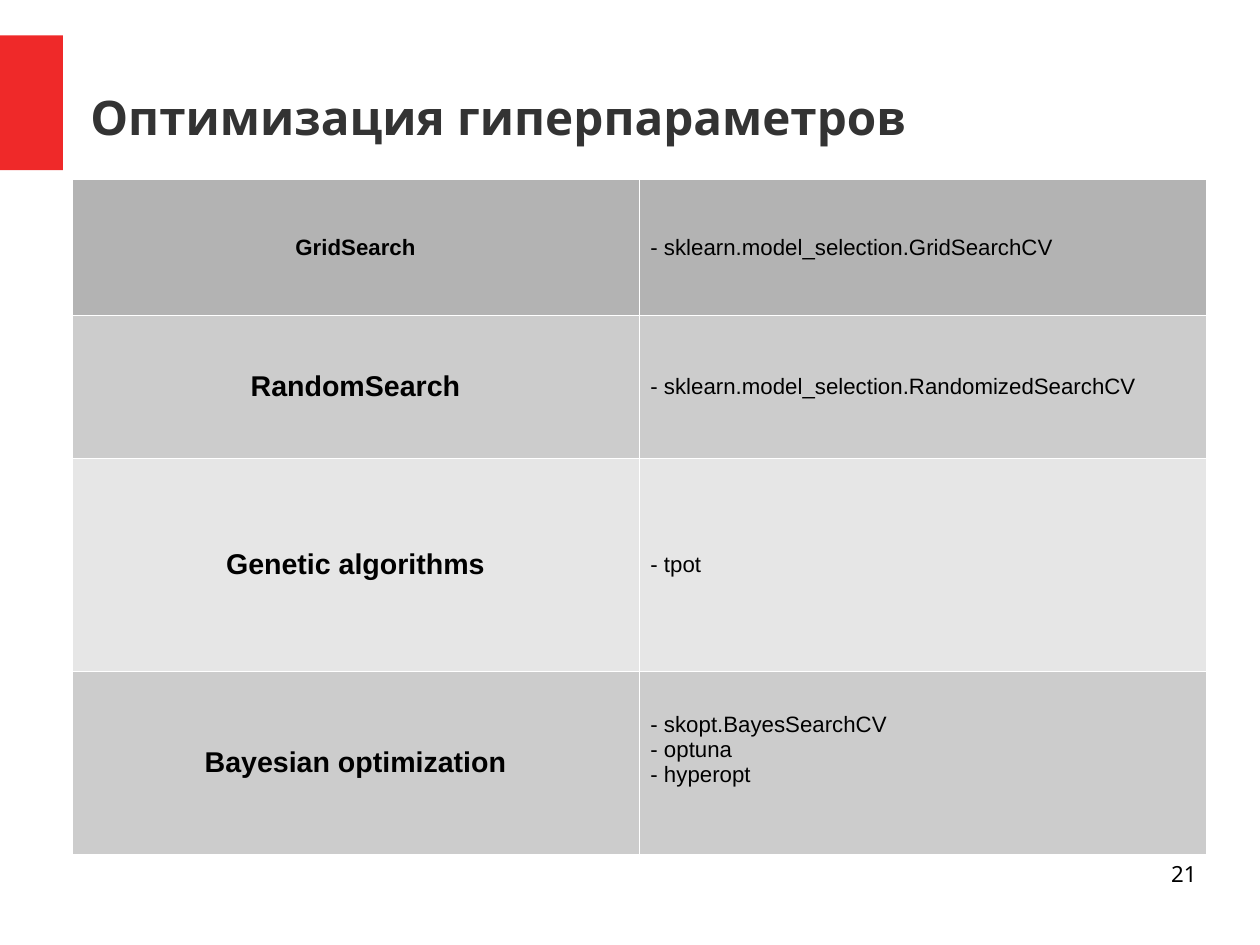
from lxml import etree
from pptx import Presentation
from pptx import util as u
from pptx.dml import color
from pptx.enum import shapes, text
from pptx.oxml import ns

WIDE, HIGH = u.Cm(28), u.Cm(21)
W = WIDE.inches
HUES = {"red": "EF2929", "title": "333333", "ink": "000000", "line": "FFFFFF",
        "dark": "B3B3B3", "mid": "CCCCCC", "light": "E6E6E6"}
ROWS = [
    (1.19, "dark", 14, "GridSearch", ["- sklearn.model_selection.GridSearchCV"]),
    (1.25, "mid", 18, "RandomSearch", ["- sklearn.model_selection.RandomizedSearchCV"]),
    (1.86, "light", 18, "Genetic algorithms", ["- tpot"]),
    (1.6, "mid", 18, "Bayesian optimization",
     ["- skopt.BayesSearchCV", "- optuna", "- hyperopt"]),
]
LIST_FOOT = 0.27


def rgb(hue):
    return color.RGBColor.from_string(HUES[hue])


def apply(item, values):
    for name, value in values.items():
        setattr(item, name, value)


def paint(item, hue):
    item.fill.solid()
    item.fill.fore_color.rgb = rgb(hue)


def write(frame, lines, align, hue, **font):
    for i, line in enumerate(lines):
        para = frame.paragraphs[0] if i == 0 else frame.add_paragraph()
        para.alignment = align
        run = para.add_run()
        run.text = line
        apply(run.font, font)
        run.font.color.rgb = rgb(hue)


def label(slide, box, line, align, anchor, hue, **font):
    frame = slide.shapes.add_textbox(*map(u.Inches, box)).text_frame
    apply(frame, dict(word_wrap=True, vertical_anchor=anchor, margin_left=0,
                      margin_right=0, margin_top=0, margin_bottom=0))
    write(frame, [line], align, hue, **font)


def edge(cell):
    props = cell._tc.get_or_add_tcPr()
    for i, side in enumerate(("lnL", "lnR", "lnT", "lnB")):
        line = etree.Element(ns.qn("a:" + side), w=str(u.Pt(0.06)))
        fill = etree.SubElement(line, ns.qn("a:solidFill"))
        etree.SubElement(fill, ns.qn("a:srgbClr"), val=HUES["line"])
        props.insert(i, line)


def header(slide, box):
    left, top, wide, high = box
    flag = slide.shapes.add_shape(
        shapes.MSO_SHAPE.RECTANGLE,
        *map(u.Inches, (left, top + 0.31, wide * 0.05, 1.18)))
    flag.shadow.inherit = False
    paint(flag, "red")
    flag.line.fill.background()
    label(slide, (left + 0.79, top + 0.33, 9.68, high - 0.33),
          "Оптимизация гиперпараметров", text.PP_ALIGN.LEFT,
          text.MSO_ANCHOR.MIDDLE, "title",
          name="Noto Sans", size=u.Pt(30), bold=True)


def methods(slide, box):
    frame = slide.shapes.add_table(len(ROWS), 2, *map(u.Inches, box))
    table = frame.table
    apply(table, dict(first_row=False, horz_banding=False))
    for col in table.columns:
        col.width = u.Inches(box[2] / 2)
    for row, (high, hue, size, name, tools) in zip(table.rows, ROWS):
        row.height = u.Inches(high)
        parts = (([name], text.PP_ALIGN.CENTER, size, True),
                 (tools, text.PP_ALIGN.LEFT, 14, False))
        for cell, (lines, align, points, bold) in zip(row.cells, parts):
            foot = LIST_FOOT if len(lines) > 1 else 0.05
            apply(cell, dict(vertical_anchor=text.MSO_ANCHOR.MIDDLE,
                             margin_left=u.Inches(0.1), margin_right=u.Inches(0.1),
                             margin_top=u.Inches(0.05), margin_bottom=u.Inches(foot)))
            paint(cell, hue)
            edge(cell)
            write(cell.text_frame, lines, align, "ink",
                  name="Arial", size=u.Pt(points), bold=bold)


def footer(slide, box):
    label(slide, box, "21", text.PP_ALIGN.RIGHT, text.MSO_ANCHOR.TOP, "ink",
          name="Noto Sans", size=u.Pt(14))


def main():
    deck = Presentation()
    apply(deck, dict(slide_width=WIDE, slide_height=HIGH))
    slide = deck.slides.add_slide(deck.slide_layouts[6])
    header(slide, (0, 0, W, 1.71))
    methods(slide, (0.63, 1.57, W * 0.9, sum(row[0] for row in ROWS)))
    footer(slide, (7.9, 7.53, 2.57, 0.57))
    deck.save("out.pptx")


if __name__ == "__main__":
    main()
